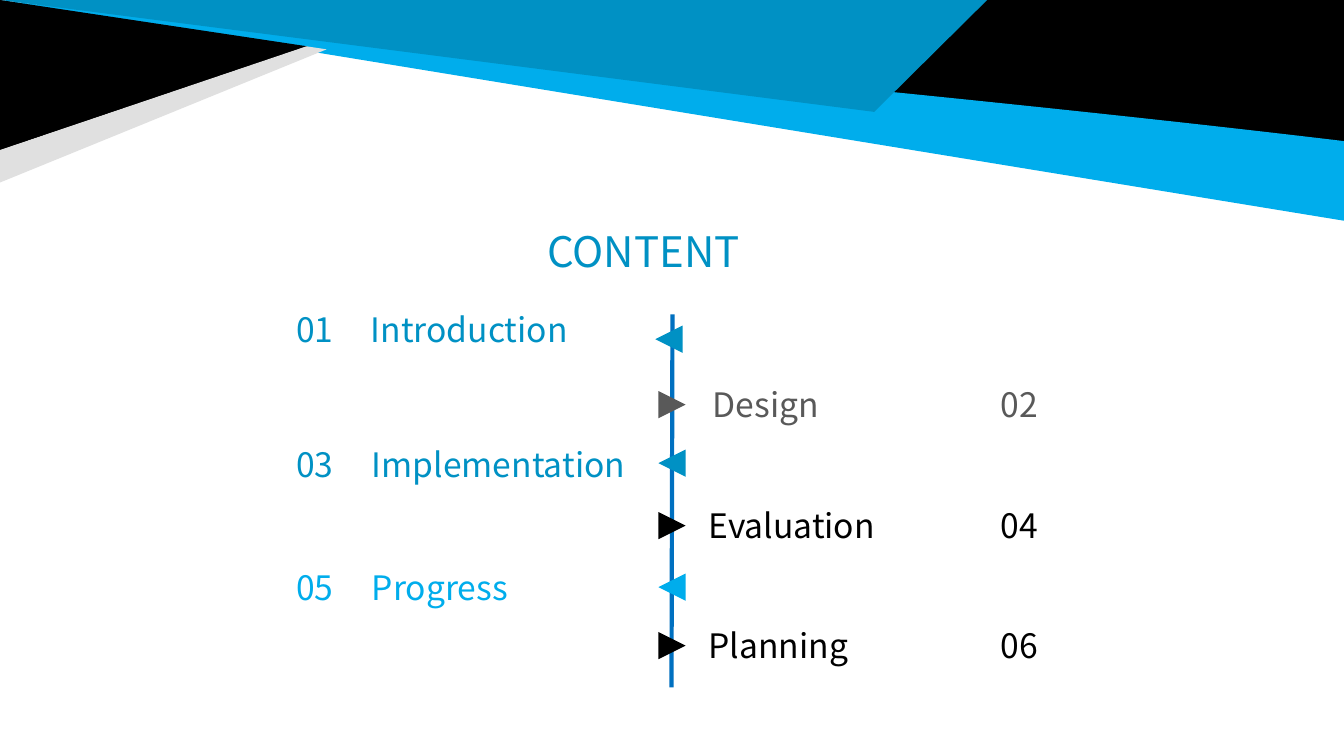
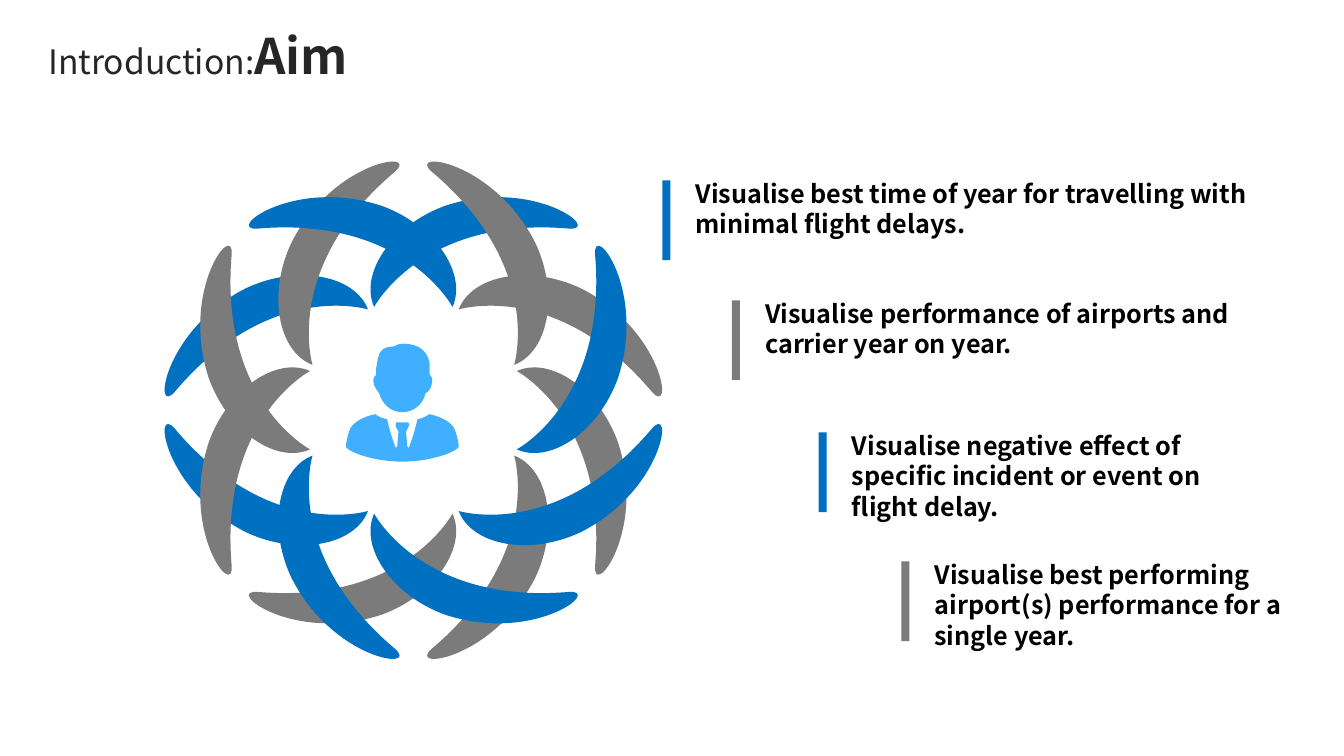
from math import cos, radians, sin

from pptx import Presentation
from pptx import util as u
from pptx.dml.color import RGBColor
from pptx.enum import shapes, text
from pptx.oxml import ns
from pptx.oxml.xmlchemy import OxmlElement

COLORS = {
    "black": "000000", "ink": "262626", "slate": "595959", "grey": "7B7B7B",
    "pale": "E0E0E0", "teal": "0091C4", "cyan": "00ADEC", "blue": "0070C0",
    "sky": "40AFFF",
}
FONT = "Noto Sans CJK SC"
FORMATS = {
    "heading": {"size": u.Pt(30)},
    "agenda": {"size": u.Pt(24)},
    "section": {"size": u.Pt(24)},
    "topic": {"size": u.Pt(35), "bold": True},
    "aim": {"size": u.Pt(18), "bold": True},
}

# label, colour, label left, label top, arrow left, arrow top
AGENDA = [
    ("Introduction", "teal", 3.58, 3.02, 6.5, 3.23),
    ("Design", "slate", 6.97, 3.76, 6.53, 3.88),
    ("Implementation", "teal", 3.59, 4.35, 6.53, 4.46),
    ("Evaluation", "black", 6.93, 4.96, 6.53, 5.08),
    ("Progress", "cyan", 3.59, 5.58, 6.53, 5.69),
    ("Planning", "black", 6.93, 6.15, 6.53, 6.27),
]

# statement, colour, left, top, width, height
AIMS = [
    ("Visualise best time of year for travelling with minimal flight delays.",
     "blue", 6.8, 1.72, 5.82, 0.71),
    ("Visualise performance of airports and carrier year on year.",
     "grey", 7.49, 2.91, 5.45, 0.71),
    ("Visualise negative effect of specific incident or event on flight delay.",
     "blue", 8.35, 4.22, 4.27, 1.01),
    ("Visualise best performing airport(s) performance for a single year.",
     "grey", 9.17, 5.5, 3.67, 1.01),
]

# One blade around the wreath centre; the others are its turns and reflections.
WREATH_CENTER = (4.1, 4.07)
BLADE = [
    (-2.36, 0.19), (-1.42, 1.3), (-0.45, 1), (-0.45, 1), (-0.58, 1.34),
    (-1.15, 1.45), (-1.66, 1.21), (-2.49, 0.79), (-2.59, -0.09), (-2.36, 0.19),
]
# eighths of a turn, reflection (1 or -1), colour; from back to front
BLADE_ORDER = [
    (0, 1, "blue"), (0, -1, "blue"), (1, 1, "grey"), (2, 1, "grey"),
    (6, 1, "grey"), (4, 1, "grey"), (3, 1, "blue"), (7, 1, "grey"),
    (5, 1, "grey"), (7, -1, "grey"), (5, -1, "blue"), (1, -1, "blue"),
    (6, -1, "blue"), (4, -1, "blue"), (3, -1, "blue"), (2, -1, "grey"),
]

HEAD = [
    (4.28, 3.74), (4.27, 3.73), (4.27, 3.72), (4.26, 3.72),
    (4.26, 3.66), (4.26, 3.64), (4.26, 3.6), (4.24, 3.49), (4.16, 3.41), (4, 3.41),
    (3.92, 3.41), (3.94, 3.44), (3.87, 3.44), (3.76, 3.45), (3.75, 3.54), (3.74, 3.6),
    (3.73, 3.64), (3.73, 3.66), (3.73, 3.72), (3.73, 3.72), (3.72, 3.73), (3.71, 3.74),
    (3.7, 3.76), (3.7, 3.79), (3.71, 3.82), (3.73, 3.86), (3.75, 3.89), (3.76, 3.9),
    (3.79, 4.01), (3.88, 4.09), (3.99, 4.09), (4.1, 4.09), (4.2, 4.01), (4.22, 3.9),
    (4.25, 3.89), (4.27, 3.86), (4.28, 3.82), (4.29, 3.79), (4.29, 3.76), (4.28, 3.74),
]
# Right half of the bust, as offsets from its vertical axis
BUST_AXIS = 3.99
HALF_BUST = [
    (0, 4.58), (0.31, 4.58), (0.56, 4.47), (0.56, 4.43),
    (0.56, 4.43), (0.55, 4.32), (0.51, 4.24), (0.47, 4.18), (0.37, 4.13), (0.27, 4.11),
    (0.22, 4.14), (0.2, 4.15), (0.15, 4.16), (0.13, 4.26), (0.09, 4.38), (0.07, 4.43),
    (0.07, 4.45), (0.06, 4.45), (0.05, 4.43), (0.04, 4.31), (0.04, 4.31), (0.04, 4.31),
    (0.03, 4.29), (0.04, 4.27), (0.05, 4.26), (0.06, 4.24), (0.06, 4.24), (0.06, 4.24),
    (0.07, 4.22), (0.07, 4.2), (0.06, 4.19), (0.02, 4.19),
]


def rgb(color):
    return RGBColor.from_string(COLORS[color])


def turned_blade(eighths, reflection):
    angle = radians(45 * eighths)
    cx, cy = WREATH_CENTER
    return [(cx + x * cos(angle) - reflection * y * sin(angle),
             cy + x * sin(angle) + reflection * y * cos(angle)) for x, y in BLADE]


def bust():
    right = [(BUST_AXIS + x, y) for x, y in HALF_BUST]
    left = [(BUST_AXIS - x, y) for x, y in reversed(HALF_BUST)]
    return right + left


class Deck:
    """Holds the presentation, its style and the slide being filled."""

    def __init__(self):
        self.prs = Presentation()
        self.prs.slide_width, self.prs.slide_height = u.Inches(13.33), u.Inches(7.5)
        self.slide = None

    def new_slide(self):
        self.slide = self.prs.slides.add_slide(self.prs.slide_layouts[6])

    def paint(self, shape, color):
        shape.shadow.inherit = False
        shape.fill.solid()
        shape.fill.fore_color.rgb = rgb(color)
        shape.line.fill.background()
        return shape

    def block(self, kind, box, color, rotation=0):
        shape = self.slide.shapes.add_shape(kind, *map(u.Inches, box))
        shape.rotation = rotation
        self.paint(shape, color)

    def polygon(self, points, color):
        start, *rest = [(u.Inches(x), u.Inches(y)) for x, y in points]
        builder = self.slide.shapes.build_freeform(*start, scale=1.0)
        builder.add_line_segments(rest, close=True)
        return self.paint(builder.convert_to_shape(), color)

    def curved(self, points, color):
        """Draw a closed outline; each three points after the first are one Bézier."""
        outline = self.polygon(points, color)._element.find(".//" + ns.qn("a:path"))
        lines = outline.findall(ns.qn("a:lnTo"))
        for i in range(0, len(lines), 3):
            curve = OxmlElement("a:cubicBezTo")
            lines[i].addprevious(curve)
            for line in lines[i:i + 3]:
                curve.append(line[0])
                outline.remove(line)

    def line(self, start, end, color, width):
        connector = self.slide.shapes.add_connector(
            shapes.MSO_CONNECTOR.STRAIGHT, *map(u.Inches, start + end))
        connector.line.color.rgb = rgb(color)
        connector.line.width = u.Pt(width)
        connector._element.spPr.append(OxmlElement("a:effectLst"))

    def label(self, box, color, *runs):
        """Add a one-paragraph text box; each run is (wording, format name)."""
        frame = self.slide.shapes.add_textbox(*map(u.Inches, box)).text_frame
        frame.word_wrap = True
        frame.auto_size = text.MSO_AUTO_SIZE.SHAPE_TO_FIT_TEXT
        for wording, style in runs:
            run = frame.paragraphs[0].add_run()
            run.text = wording
            run.font.color.rgb = rgb(color)
            for key, value in {"name": FONT, **FORMATS[style]}.items():
                setattr(run.font, key, value)


def content_slide(deck):
    deck.new_slide()
    deck.polygon([(8.72, 0), (13.33, 0), (13.33, 1.93), (8.72, 1.27)], "black")
    deck.curved([(-0.1, -0.01), (4.35, 0.51), (8.89, 0.87), (13.33, 1.4),
                 (13.33, 1.66), (13.33, 1.93), (13.33, 2.19)], "cyan")
    deck.polygon([(9.79, 0), (8.67, 1.11), (0, 0)], "teal")
    deck.polygon([(0, 0), (3.05, 0.46), (0, 1.49)], "black")
    deck.polygon([(0, 1.49), (3.04, 0.46), (3.24, 0.49), (-0.02, 1.82)], "pale")

    deck.line((6.67, 3.12), (6.66, 6.82), "blue", 3)
    deck.label((5.33, 2.19, 2.57, 0.6), "teal", ("CONTENT", "heading"))
    for number, entry in enumerate(AGENDA, 1):
        topic, color, left, top, arrow_left, arrow_top = entry
        on_left = number % 2 == 1
        deck.block(shapes.MSO_SHAPE.ISOSCELES_TRIANGLE,
                   (arrow_left, arrow_top, 0.27, 0.27), color, 270 if on_left else 90)
        deck.label((left, top, 2.9, 0.5), color, (topic, "agenda"))
        deck.label((2.84 if on_left else 9.83, top, 0.63, 0.5), color,
                   (f"{number:02}", "agenda"))


def aim_slide(deck):
    deck.new_slide()
    deck.label((0.38, 0.2, 3.78, 0.69), "ink", ("Introduction:", "section"), ("Aim", "topic"))
    for eighths, reflection, color in BLADE_ORDER:
        deck.curved(turned_blade(eighths, reflection), color)
    deck.curved(HEAD, "sky")
    deck.curved(bust(), "sky")
    for statement, color, left, top, width, height in AIMS:
        deck.block(shapes.MSO_SHAPE.RECTANGLE, (left - 0.23, top + 0.07, 0.08, 0.79), color)
        deck.label((left, top, width, height), "black", (statement, "aim"))


def main():
    deck = Deck()
    content_slide(deck)
    aim_slide(deck)
    deck.prs.save("out.pptx")


if __name__ == "__main__":
    main()
